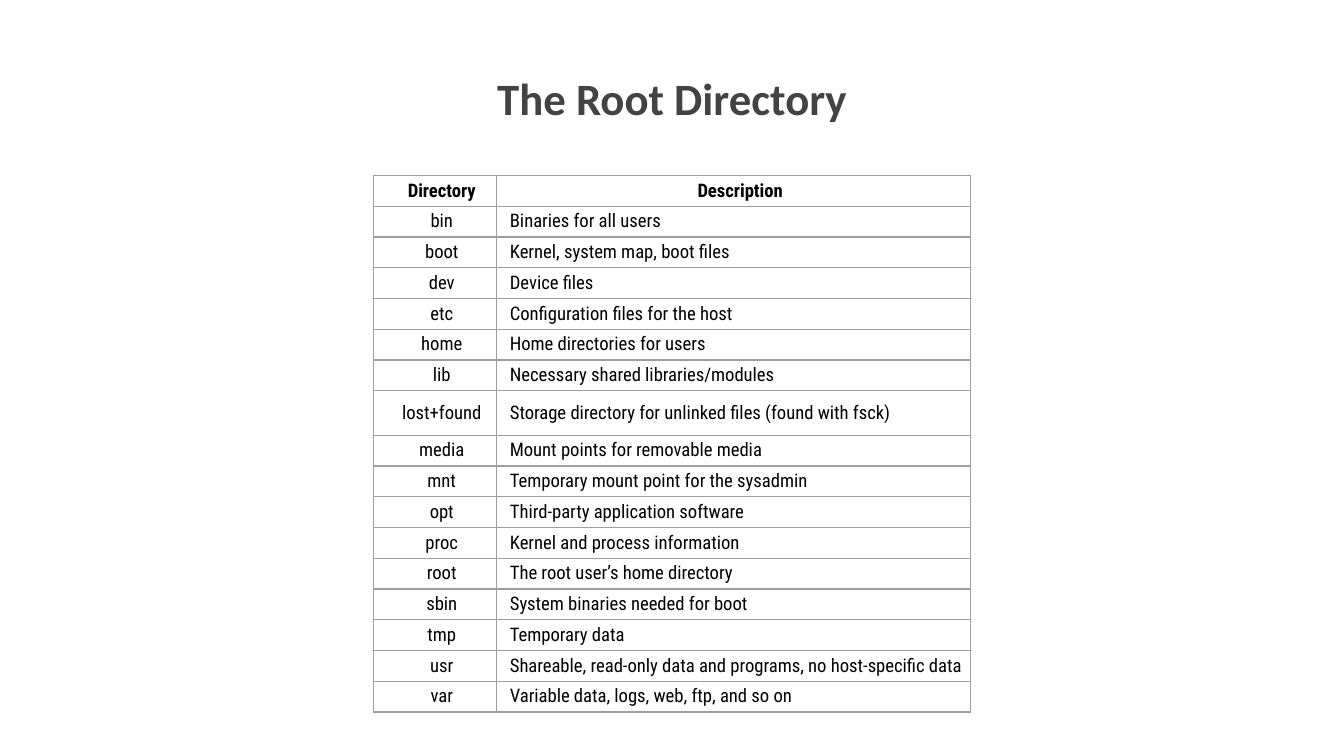
"""Build the slide that lists the directories under the root."""
from lxml import etree
from pptx import Presentation
from pptx.dml.color import RGBColor
from pptx.enum.text import MSO_ANCHOR, PP_ALIGN
from pptx.oxml.ns import qn
from pptx.util import Pt

CENTER, LEFT = PP_ALIGN.CENTER, PP_ALIGN.LEFT
MIDDLE = MSO_ANCHOR.MIDDLE
TITLE_ONLY = 5
COLORS = {"title": "434343", "text": "000000", "border": "9E9E9E"}
COLUMN_WIDTHS = (65.8, 253.9)
ROW_HEIGHT, TALL_ROW_HEIGHT = 16.48, 23.9
TALL_ROW = "lost+found"
DIRECTORIES = [
    ("Directory", "Description"),
    ("bin", "Binaries for all users"),
    ("boot", "Kernel, system map, boot files"),
    ("dev", "Device files"),
    ("etc", "Configuration files for the host"),
    ("home", "Home directories for users"),
    ("lib", "Necessary shared libraries/modules"),
    ("lost+found", "Storage directory for unlinked files (found with fsck)"),
    ("media", "Mount points for removable media"),
    ("mnt", "Temporary mount point for the sysadmin"),
    ("opt", "Third-party application software"),
    ("proc", "Kernel and process information"),
    ("root", "The root user’s home directory"),
    ("sbin", "System binaries needed for boot"),
    ("tmp", "Temporary data"),
    ("usr", "Shareable, read-only data and programs, no host-specific data"),
    ("var", "Variable data, logs, web, ftp, and so on"),
]


class SlideBuilder:
    """Hold the style and the current slide."""

    title_font = "Calibri"
    table_font = "Roboto Condensed"

    def __init__(self, deck):
        """Add the page to the deck."""
        self.page = deck.slides.add_slide(deck.slide_layouts[TITLE_ONLY])

    def style(self, para, align, font, size, color, bold):
        """Format a paragraph and its runs."""
        para.alignment = align
        for span in para.runs:
            span.font.name = font
            span.font.size = Pt(size)
            span.font.bold = bold
            span.font.color.rgb = RGBColor.from_string(COLORS[color])

    def title(self, text, left, top, width, height):
        """Fill and place the title placeholder."""
        box = self.page.shapes.title
        box.left, box.top, box.width, box.height = map(Pt, (left, top, width, height))
        frame = box.text_frame
        frame.text = text
        frame.vertical_anchor = MIDDLE
        frame.margin_left = frame.margin_right = Pt(7.2)
        frame.margin_top = frame.margin_bottom = Pt(7.2)
        self.style(frame.paragraphs[0], CENTER, self.title_font, 24, "title", True)

    def border(self, cell):
        """Draw a thin line on every side of a cell."""
        properties = cell._tc.get_or_add_tcPr()
        for index, side in enumerate(("a:lnL", "a:lnR", "a:lnT", "a:lnB")):
            line = etree.Element(qn(side), w=str(Pt(0.75)))
            fill = etree.SubElement(line, qn("a:solidFill"))
            etree.SubElement(fill, qn("a:srgbClr"), val=COLORS["border"])
            properties.insert(index, line)

    def cell(self, cell, text, align, bold):
        """Fill and format one table cell."""
        cell.text = text
        cell.vertical_anchor = MIDDLE
        cell.margin_left = Pt(7.2)
        cell.margin_right = cell.margin_top = cell.margin_bottom = 0
        cell.fill.background()
        self.border(cell)
        self.style(cell.text_frame.paragraphs[0], align, self.table_font, 10, "text", bold)

    def table(self, rows, left, top):
        """Add the bordered table with a bold header row."""
        heights = [TALL_ROW_HEIGHT if row[0] == TALL_ROW else ROW_HEIGHT for row in rows]
        table = self.page.shapes.add_table(
            len(rows), len(COLUMN_WIDTHS), Pt(left), Pt(top),
            Pt(sum(COLUMN_WIDTHS)), Pt(sum(heights))).table
        table.horz_banding = False
        for column, width in zip(table.columns, COLUMN_WIDTHS):
            column.width = Pt(width)
        for r, (texts, height) in enumerate(zip(rows, heights)):
            table.rows[r].height = Pt(height)
            for c, text in enumerate(texts):
                align = CENTER if r == 0 or c == 0 else LEFT
                self.cell(table.cell(r, c), text, align, r == 0)


def main():
    """Build and save the deck."""
    deck = Presentation()
    deck.slide_width, deck.slide_height = Pt(720), Pt(405)
    builder = SlideBuilder(deck)
    builder.title("The Root Directory", 154.8, 28, 410.4, 49)
    builder.table(DIRECTORIES, 200.15, 94)
    deck.save("out.pptx")


if __name__ == "__main__":
    main()
